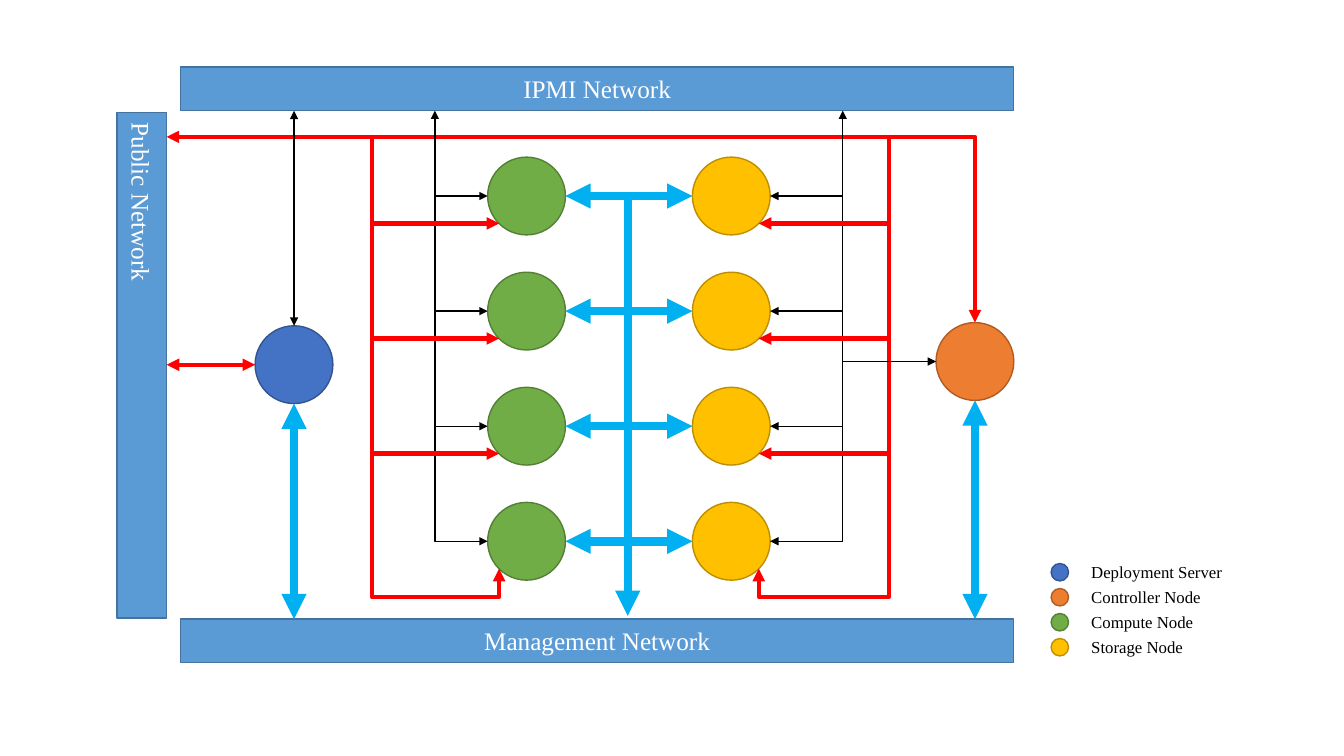
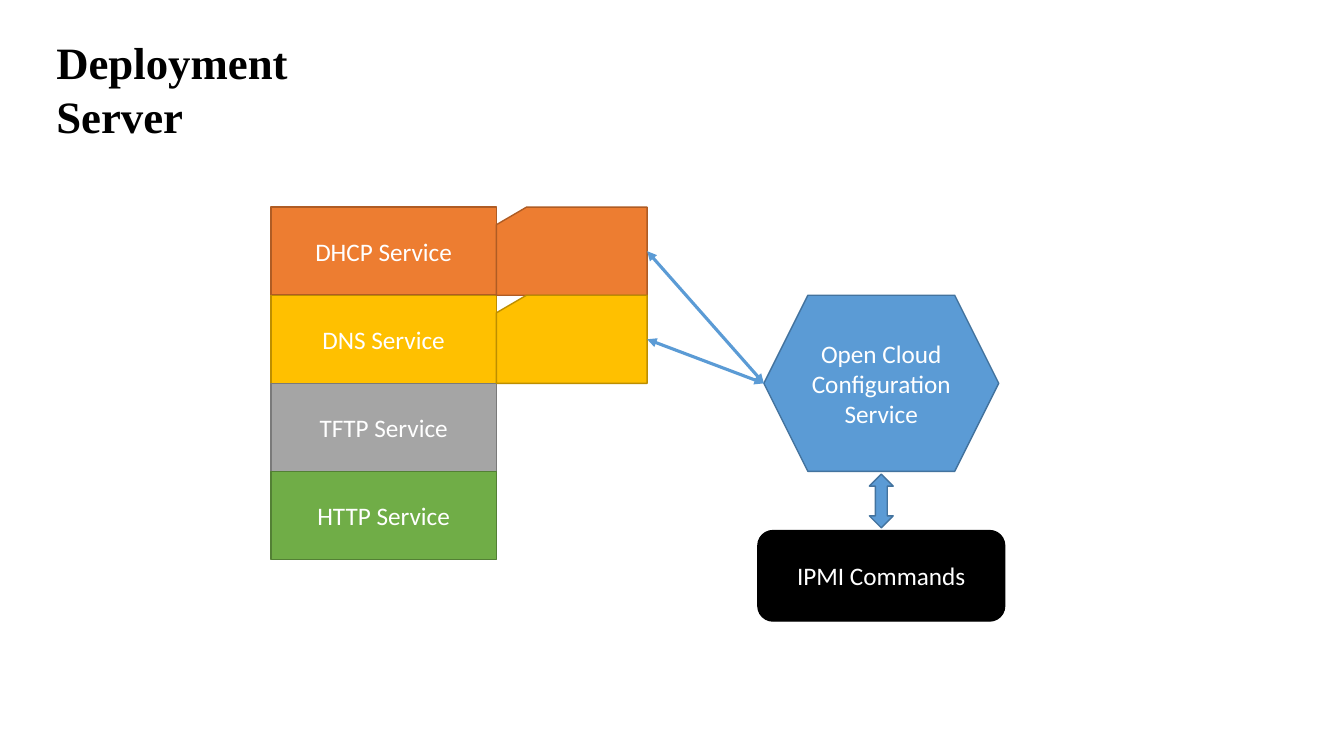
"""Build two slides: a cloud network layout and its deployment server."""
import dataclasses

import lxml.etree
import pptx
import pptx.dml.color
import pptx.enum.shapes
import pptx.enum.text
import pptx.oxml.ns
import pptx.util

Cm = pptx.util.Cm
Pt = pptx.util.Pt
SHAPE = pptx.enum.shapes.MSO_SHAPE
CONNECTOR = pptx.enum.shapes.MSO_CONNECTOR
ALIGN = pptx.enum.text.PP_ALIGN
ANCHOR = pptx.enum.text.MSO_ANCHOR
qn = pptx.oxml.ns.qn


def rgb(value):
    """Return a colour from its RRGGBB string."""
    return pptx.dml.color.RGBColor.from_string(value)


def text_format(name, size, colour, bold=False):
    """Return the font values of one text role."""
    return {"name": name, "size": Pt(size), "bold": bold, "colour": rgb(colour)}


@dataclasses.dataclass(frozen=True)
class Theme:
    """Colours, line styles and type shared by the slides."""

    fills = {
        "server": ("4472C4", "325491"),
        "controller": ("ED7D31", "AF5C24"),
        "compute": ("70AD47", "538035"),
        "storage": ("FFC000", "BD8E00"),
        "network": ("5B9BD5", "43739E"),
        "neutral": ("A5A5A5", "7A7A7A"),
        "command": ("000000", "000000"),
    }
    lines = {
        "management": ("00B0F0", 6),
        "public": ("FF0000", 3),
        "ipmi": ("000000", 1),
        "service": ("5B9BD5", 2.25),
    }
    outline = 1
    title = text_format("Times New Roman", 32, "000000", True)
    bar = text_format("Times New Roman", 18, "FFFFFF")
    legend = text_format("Times New Roman", 12, "000000")
    label = text_format("Calibri", 18, "FFFFFF")


@dataclasses.dataclass(frozen=True)
class Box:
    """A rectangle in centimetres."""

    left: float
    top: float
    width: float
    height: float

    def inner(self, left, top, width, height):
        """Return a box placed relative to this one."""
        return Box(self.left + left, self.top + top, width, height)

    def lengths(self):
        """Return the four lengths as slide units."""
        return [Cm(value) for value in dataclasses.astuple(self)]


THEME = Theme()


def apply_format(target, values):
    """Set every attribute named in a dict of format values."""
    for name, value in values.items():
        if name == "colour":
            target.color.rgb = value
        else:
            setattr(target, name, value)


def add_element(parent, tag, **attributes):
    """Append a drawing element to its parent."""
    return lxml.etree.SubElement(parent, qn(tag), attributes)


def write_text(shape, text, font, align, anchor, wrap=True):
    """Write one formatted paragraph into a shape."""
    frame = shape.text_frame
    apply_format(frame, {"word_wrap": wrap, "vertical_anchor": anchor})
    paragraph = frame.paragraphs[0]
    paragraph.alignment = align
    run = paragraph.add_run()
    run.text = text
    apply_format(run.font, font)


def add_block(slide, box, role, kind=SHAPE.RECTANGLE, text=None, font=THEME.label):
    """Add a filled preset shape with optional centred text."""
    shape = slide.shapes.add_shape(kind, *box.lengths())
    fill, line = THEME.fills[role]
    shape.shadow.inherit = False
    shape.fill.solid()
    shape.fill.fore_color.rgb = rgb(fill)
    apply_format(shape.line, {"colour": rgb(line), "width": Pt(THEME.outline)})
    if text:
        write_text(shape, text, font, ALIGN.CENTER, ANCHOR.MIDDLE)
    return shape


def add_label(slide, box, text, font, wrap):
    """Add a left-aligned text box."""
    label = slide.shapes.add_textbox(*box.lengths())
    write_text(label, text, font, ALIGN.LEFT, ANCHOR.TOP, wrap)


def add_arrow(slide, box, start, end, style, ends="both", preset=None):
    """Add a connector between two points measured from the box corner."""
    points = [
        Cm(value + origin)
        for point in (start, end)
        for value, origin in zip(point, (box.left, box.top))
    ]
    connector = slide.shapes.add_connector(CONNECTOR.STRAIGHT, *points)
    colour, width = THEME.lines[style]
    apply_format(connector.line, {"colour": rgb(colour), "width": Pt(width)})
    properties = connector._element.spPr
    if preset:
        properties.find(qn("a:prstGeom")).set("prst", preset)
    line = properties.find(qn("a:ln"))
    for tag, wanted in (("a:headEnd", ("both", "head")), ("a:tailEnd", ("both", "tail"))):
        if ends in wanted:
            add_element(line, tag, type="triangle")
    add_element(properties, "a:effectLst")
    return connector


def add_hook(slide, box, start, end, depth, style):
    """Add an elbow that drops to a depth, turns sideways and rises to its end."""
    (start_x, start_y), (end_x, end_y) = start, end
    middle_x, middle_y = (start_x + end_x) / 2, (start_y + end_y) / 2
    side = 1 if end_x < start_x else -1
    half_run, half_rise = side * (end_y - start_y) / 2, abs(end_x - start_x) / 2
    connector = add_arrow(
        slide, box,
        (middle_x - half_run, middle_y - half_rise),
        (middle_x + half_run, middle_y + half_rise),
        style, "tail", "bentConnector3",
    )
    properties = connector._element.spPr
    properties.find(qn("a:xfrm")).set("rot", str((90 if side > 0 else 270) * 60000))
    ratio = (depth - start_y) / (end_y - start_y)
    geometry = properties.find(qn("a:prstGeom"))
    adjustments = geometry.find(qn("a:avLst"))
    if adjustments is None:
        adjustments = add_element(geometry, "a:avLst")
    add_element(adjustments, "a:gd", name="adj1", fmla=f"val {round(ratio * 100000)}")


def draw_network(slide, box):
    """Draw the nodes, the three networks and the links between them."""
    radius, diagonal = 0.98, 0.69
    bar_left, bar_height = 1.6, 1.1
    management_top = box.height - bar_height
    public_width, public_top = 1.25, 1.15
    server_x, server_y = 4.46, 7.5
    controller_x, controller_y = 21.62, 7.42
    rows = [3.25 + 2.9 * index for index in range(4)]
    bus_y, hook_y, spine_x = 1.76, 13.35, 12.87
    sides = (
        ("compute", 10.32, -1, 6.42, 8.01),
        ("storage", 15.48, 1, 19.45, 18.29),
    )
    nodes = [("server", server_x, server_y), ("controller", controller_x, controller_y)]
    nodes += [(role, x, y) for role, x, *_ in sides for y in rows]
    for role, x, y in nodes:
        circle = box.inner(x - radius, y - radius, 2 * radius, 2 * radius)
        add_block(slide, circle, role, SHAPE.OVAL)

    bar_width = box.width - bar_left
    for text, top in (("IPMI Network", 0), ("Management Network", management_top)):
        bar = box.inner(bar_left, top, bar_width, bar_height)
        add_block(slide, bar, "network", text=text, font=THEME.bar)
    public_box = box.inner(0, public_top, public_width, management_top - public_top - 0.03)
    public = add_block(slide, public_box, "network", text="Public Network", font=THEME.bar)
    public.text_frame._txBody.bodyPr.set("vert", "eaVert")

    for x, y in ((server_x, server_y), (controller_x, controller_y)):
        add_arrow(slide, box, (x, management_top), (x, y + radius), "management")
    add_arrow(slide, box, (spine_x, management_top - 0.08), (spine_x, rows[0]),
              "management", "head")
    for y in rows:
        add_arrow(slide, box, (sides[0][1] + radius, y), (sides[1][1] - radius, y),
                  "management")

    add_arrow(slide, box, (server_x - radius, server_y), (public_width, server_y), "public")
    add_arrow(slide, box, (public_width, bus_y), (controller_x, controller_y - radius),
              "public", preset="bentConnector2")
    add_arrow(slide, box, (server_x, server_y - radius), (server_x, bar_height), "ipmi")
    for _, x, side, public_x, ipmi_x in sides:
        near, edge = x + side * diagonal, x + side * radius
        add_hook(slide, box, (public_x, bus_y), (near, rows[-1] + diagonal), hook_y, "public")
        add_arrow(slide, box, (edge, rows[-1]), (ipmi_x, bar_height), "ipmi",
                  preset="bentConnector2")
        for y in rows[:-1]:
            add_arrow(slide, box, (public_x, y + diagonal), (near, y + diagonal),
                      "public", "tail")
            add_arrow(slide, box, (ipmi_x, y), (edge, y), "ipmi", "tail")
    add_arrow(slide, box, (sides[1][4], controller_y), (controller_x - radius, controller_y),
              "ipmi", "tail")


def draw_legend(slide, box):
    """List the node kinds with their colours."""
    entries = (
        ("server", "Deployment Server"),
        ("controller", "Controller Node"),
        ("compute", "Compute Node"),
        ("storage", "Storage Node"),
    )
    pitch, dot = box.height / len(entries), 0.44
    for index, (role, text) in enumerate(entries):
        top = index * pitch
        add_block(slide, box.inner(0, top + 0.16, dot, dot), role, SHAPE.OVAL)
        label = box.inner(0.76, top, box.width - 0.76, 0.76)
        add_label(slide, label, text, THEME.legend, False)


def draw_services(slide, box):
    """Draw the service stack, the configuration service and its commands."""
    services = (
        ("controller", "DHCP Service"),
        ("storage", "DNS Service"),
        ("neutral", "TFTP Service"),
        ("compute", "HTTP Service"),
    )
    row, service_width, card_width = 2.22, 5.68, 3.8
    hexagon_left, hexagon_width = 12.42, 5.92
    middle = hexagon_left + hexagon_width / 2
    for index, (role, text) in enumerate(services):
        add_block(slide, box.inner(0, index * row, service_width, row), role, text=text)
    for index, (role, _) in enumerate(services[:2]):
        card = box.inner(service_width, index * row, card_width, row)
        add_block(slide, card, role, SHAPE.FLOWCHART_CARD)
    hexagon = box.inner(hexagon_left, row, hexagon_width, 2 * row)
    add_block(slide, hexagon, "network", SHAPE.HEXAGON, "Open Cloud Configuration Service")
    for index in range(2):
        card_edge = (service_width + card_width, (index + 0.5) * row)
        add_arrow(slide, box, (hexagon_left, 2 * row), card_edge, "service")
    command_width, command_height = 6.22, 2.28
    command = box.inner(middle - command_width / 2, box.height - command_height,
                        command_width, command_height)
    add_block(slide, command, "command", SHAPE.FLOWCHART_ALTERNATE_PROCESS, "IPMI Commands")
    link = box.inner(middle - 0.3, 3 * row + 0.07, 0.6, 1.35)
    add_block(slide, link, "network", SHAPE.UP_DOWN_ARROW)


def build_network_slide(slide):
    """Place the network layout and its legend."""
    draw_network(slide, Box(2.95, 1.69, 22.6, 15.01))
    draw_legend(slide, Box(26.49, 14.04, 4.6, 2.52))


def build_server_slide(slide):
    """Place the title and the service diagram."""
    add_label(slide, Box(1.17, 0.76, 9.75, 1.62), "Deployment Server", THEME.title, True)
    draw_services(slide, Box(6.83, 5.22, 18.5, 10.43))


def main():
    """Build the presentation and save it."""
    presentation = pptx.Presentation()
    apply_format(presentation, {"slide_width": Cm(33.87), "slide_height": Cm(19.05)})
    for build in (build_network_slide, build_server_slide):
        build(presentation.slides.add_slide(presentation.slide_layouts[6]))
    presentation.save("out.pptx")


main()
